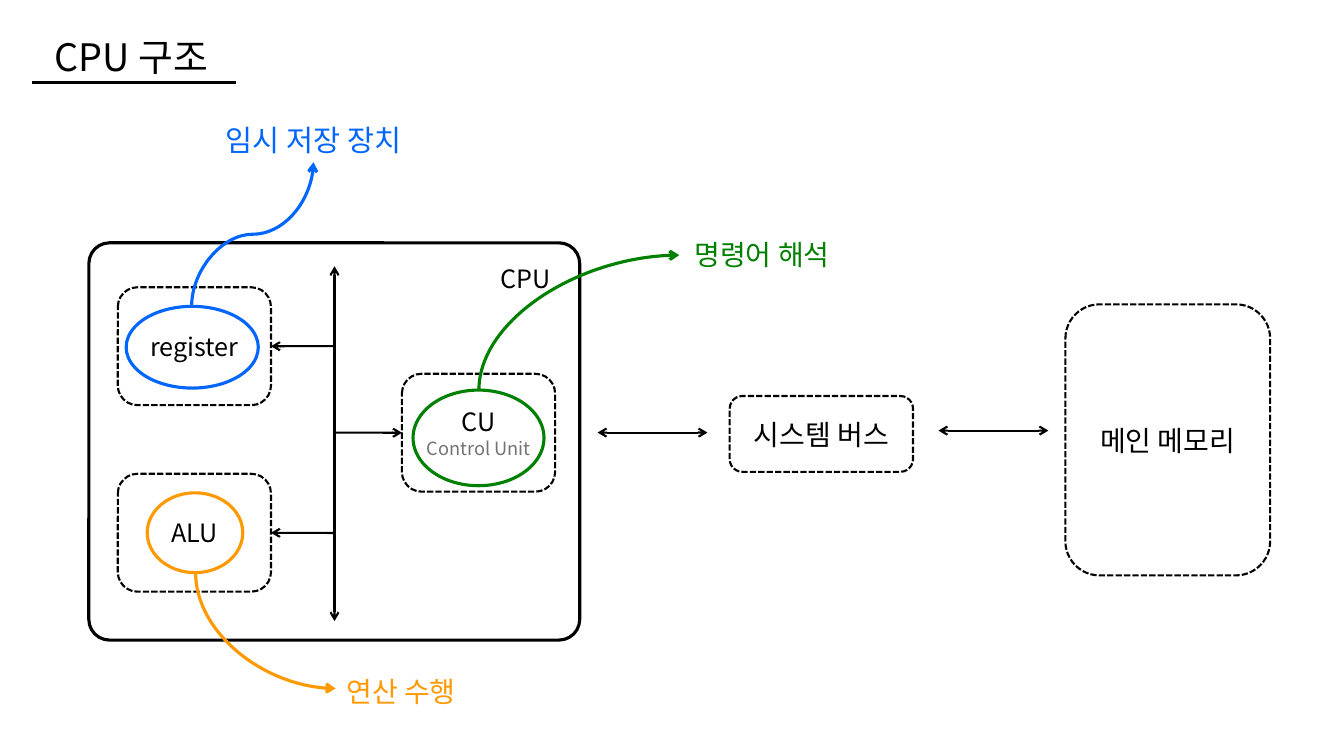
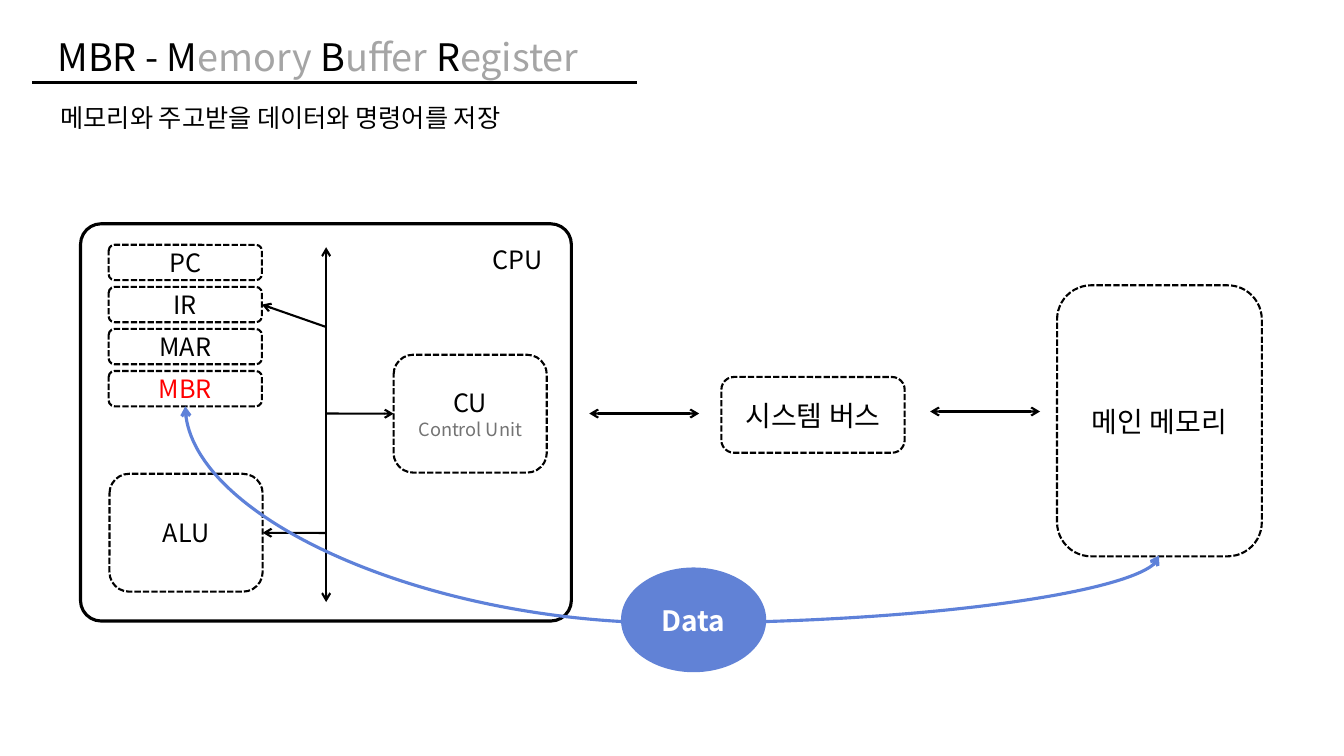
import dataclasses

import lxml.etree
import pptx
import pptx.dml.color
import pptx.enum.dml
import pptx.enum.shapes
import pptx.enum.text
import pptx.oxml.ns
import pptx.util

Cm = pptx.util.Cm
Pt = pptx.util.Pt
qn = pptx.oxml.ns.qn
SHAPE = pptx.enum.shapes.MSO_SHAPE
ALIGN = pptx.enum.text.PP_ALIGN
ANCHOR = pptx.enum.text.MSO_ANCHOR


@dataclasses.dataclass(frozen=True)
class Theme:
    font: str = "Noto Sans CJK KR"
    ink: str = "000000"
    muted: str = "A5A5A5"
    note: str = "737373"
    blue: str = "0066FF"
    orange: str = "FF9900"
    green: str = "008000"
    red: str = "FF0000"
    data_line: str = "5E81D9"
    data_fill: str = "6182D6"
    white: str = "FFFFFF"
    title_size: float = 27
    storage_size: float = 21
    large_size: float = 20
    text_size: float = 18
    note_size: float = 13
    thin: float = 1.5
    thick: float = 2.25


theme = Theme()


def write(frame, paragraphs, align=ALIGN.LEFT, anchor=ANCHOR.TOP):
    """Fill a text frame; each paragraph is a list of (text, size, colour) spans."""
    frame_format = {
        "word_wrap": True,
        "auto_size": pptx.enum.text.MSO_AUTO_SIZE.NONE,
        "vertical_anchor": anchor,
    }
    for name, value in frame_format.items():
        setattr(frame, name, value)
    for index, spans in enumerate(paragraphs):
        para = frame.add_paragraph() if index else frame.paragraphs[0]
        para.alignment = align
        para.space_before = Pt(0)
        for text, size, colour in spans:
            span = para.add_run()
            span.text = text
            span_format = {"name": theme.font, "size": Pt(size), "bold": colour == theme.white}
            for name, value in span_format.items():
                setattr(span.font, name, value)
            span.font.color.rgb = pptx.dml.color.RGBColor.from_string(colour)
            lxml.etree.SubElement(span.font._element, qn("a:ea"), typeface=theme.font)


def add_line(slide, start, end, colour, weight, tips=(), turn=0, preset="line", bend=None):
    """Draw a line between two points; turn is the quarter turn of a curve."""
    if turn:
        middle_x, middle_y = (start[0] + end[0]) / 2, (start[1] + end[1]) / 2
        start, end = [
            (middle_x + turn * (y - middle_y), middle_y - turn * (x - middle_x))
            for x, y in (start, end)
        ]
    kinds = pptx.enum.shapes.MSO_CONNECTOR
    connector = slide.shapes.add_connector(
        kinds.CURVE if turn else kinds.STRAIGHT, *map(Cm, (*start, *end))
    )
    connector.line.color.rgb = pptx.dml.color.RGBColor.from_string(colour)
    connector.line.width = Pt(weight)
    properties = connector.element.spPr
    if turn:
        properties.find(qn("a:xfrm")).set("rot", str(turn % 4 * 90 * 60000))
        geometry = properties.find(qn("a:prstGeom"))
        geometry.set("prst", preset)
        if bend:
            guides = geometry.find(qn("a:avLst"))
            lxml.etree.SubElement(guides, qn("a:gd"), name="adj1", fmla=f"val {bend}")
    for tip in tips:
        lxml.etree.SubElement(properties.find(qn("a:ln")), qn(f"a:{tip}"), type="arrow")
    lxml.etree.SubElement(properties, qn("a:effectLst"))
    return connector


ONE_WAY = ("tailEnd",)
BOTH_WAYS = ("headEnd", "tailEnd")
BLOCK = (3.86, 2.97)
REGISTER_SIZE = (3.86, 0.89)
TITLE_RULE_Y = 2.08
AXIS_X = 8.43

# style: shape, corner radius, line width, dashed
box_styles = {
    "frame": (SHAPE.ROUNDED_RECTANGLE, 0.052, theme.thick, False),
    "dashed": (SHAPE.ROUNDED_RECTANGLE, 0.167, theme.thin, True),
    "ring": (SHAPE.OVAL, None, theme.thick, False),
}

# name: style, position, size, line colour, paragraphs
shared_boxes = {
    "cpu": ("frame", (2.24, 6.12), (12.37, 10.01), theme.ink, []),
    "CU": ("dashed", (10.13, 9.42), BLOCK, theme.ink, [
        [("CU", theme.text_size, theme.ink)],
        [("Control Unit", theme.note_size, theme.note)],
    ]),
    "bus": ("dashed", (18.39, 9.98), (4.62, 1.91), theme.ink,
            [[("시스템 버스", theme.large_size, theme.ink)]]),
    "memory": ("dashed", (26.85, 7.67), (5.16, 6.83), theme.ink,
               [[("메인 메모리", theme.large_size, theme.ink)]]),
}
shared_arrows = [
    ((AXIS_X, 6.71), (AXIS_X, 15.65)),
    ((15.06, 10.9), (17.83, 10.9)),
    ((23.65, 10.85), (26.42, 10.85)),
]

structure_boxes = {
    "register": ("dashed", (2.97, 7.24), BLOCK, theme.ink,
                 [[("register", theme.text_size, theme.ink)]]),
    "ALU": ("dashed", (2.97, 11.94), BLOCK, theme.ink,
            [[("ALU", theme.text_size, theme.ink)]]),
    "register ring": ("ring", (3.18, 7.72), (3.33, 2.06), theme.blue, []),
    "ALU ring": ("ring", (3.71, 12.42), (2.41, 2.01), theme.orange, []),
    "CU ring": ("ring", (10.41, 9.83), (3.3, 2.41), theme.green, []),
}
buffer_boxes = {
    name: ("dashed", (2.74, 6.17 + 1.06 * row), REGISTER_SIZE, theme.ink,
           [[(name, theme.text_size, theme.red if name == "MBR" else theme.ink)]])
    for row, name in enumerate(["PC", "IR", "MAR", "MBR"])
}
buffer_boxes["ALU"] = ("dashed", (2.76, 11.94), BLOCK, theme.ink,
                       [[("ALU", theme.text_size, theme.ink)]])

pages = [
    {
        "layout": 5,
        "title": [("CPU 구조", theme.ink)],
        "title_x": 1.12,
        "title_width": 5.21,
        "rule_end": 5.94,
        "subtitle": None,
        "shift": (0, 0),
        "boxes": structure_boxes,
        "wired_register": "register",
        "curves": [
            ((4.83, 7.72), (7.9, 4.09), theme.blue, ONE_WAY, 1, "curvedConnector3", None),
            ((4.93, 14.43), (8.46, 17.35), theme.orange, ONE_WAY, -1, "curvedConnector2", None),
            ((12.07, 9.83), (17.12, 6.43), theme.green, ONE_WAY, 1, "curvedConnector2", None),
        ],
        "labels": [
            ("임시 저장 장치", (5.44, 2.95, 5.18, 1.14), theme.storage_size, theme.blue),
            ("연산 수행", (8.48, 16.87, 3.91, 1.09), theme.large_size, theme.orange),
            ("명령어 해석", (17.25, 5.87, 4.5, 1.09), theme.large_size, theme.green),
        ],
        "data": None,
    },
    {
        "layout": 1,
        "title": [
            ("MBR - M", theme.ink), ("emory", theme.muted),
            (" B", theme.ink), ("uffer", theme.muted),
            (" R", theme.ink), ("egister", theme.muted),
        ],
        "title_x": 1.19,
        "title_width": 16.31,
        "rule_end": 16.05,
        "subtitle": "메모리와 주고받을 데이터와 명령어를 저장",
        "shift": (-0.21, -0.48),
        "boxes": buffer_boxes,
        "wired_register": "IR",
        "curves": [
            ((4.67, 10.24), (29.21, 14), theme.data_line, BOTH_WAYS, 1,
             "curvedConnector3", 145200),
        ],
        "labels": [],
        "data": "Data",
    },
]

deck = pptx.Presentation()
deck.slide_width = Cm(33.87)
deck.slide_height = Cm(19.05)

for page in pages:
    slide = deck.slides.add_slide(deck.slide_layouts[page["layout"]])
    shift_x, shift_y = page["shift"]

    # Heading
    title = slide.shapes.title
    title_place = {"left": page["title_x"], "top": 0.71, "width": page["title_width"], "height": 1.4}
    for name, value in title_place.items():
        setattr(title, name, Cm(value))
    write(title.text_frame, [[(text, theme.title_size, colour) for text, colour in page["title"]]])
    add_line(slide, (0.81, TITLE_RULE_Y), (page["rule_end"], TITLE_RULE_Y), theme.ink, theme.thick)

    if page["subtitle"]:
        body = slide.placeholders[1]
        body_place = {"left": 1.27, "top": 2.44, "width": 12.47, "height": 1.02}
        for name, value in body_place.items():
            setattr(body, name, Cm(value))
        write(body.text_frame, [[(page["subtitle"], theme.text_size, theme.ink)]])
        bullet_format = body.text_frame.paragraphs[0]._p.get_or_add_pPr()
        for name in ("marL", "indent"):
            bullet_format.set(name, "0")
        lxml.etree.SubElement(bullet_format, qn("a:buNone"))

    # Boxes
    placed_boxes = {
        name: (style, (x + shift_x, y + shift_y), size, colour, paragraphs)
        for name, (style, (x, y), size, colour, paragraphs) in shared_boxes.items()
    }
    boxes = {}
    for name, (style, place, size, colour, paragraphs) in (placed_boxes | page["boxes"]).items():
        kind, radius, weight, dashed = box_styles[style]
        box = slide.shapes.add_shape(kind, *map(Cm, (*place, *size)))
        box.shadow.inherit = False
        box.fill.background()
        box.line.color.rgb = pptx.dml.color.RGBColor.from_string(colour)
        box.line.width = Pt(weight)
        if dashed:
            box.line.dash_style = pptx.enum.dml.MSO_LINE.SQUARE_DOT
        if radius:
            box.adjustments[0] = radius
        write(box.text_frame, paragraphs, ALIGN.CENTER, ANCHOR.MIDDLE)
        boxes[name] = box

    # Buses and the wires that leave the inner one
    for start, end in shared_arrows:
        start, end = [(x + shift_x, y + shift_y) for x, y in (start, end)]
        add_line(slide, start, end, theme.ink, theme.thin, BOTH_WAYS)
    wires = [
        (page["wired_register"], 8.72 + shift_y, 3),
        ("CU", 10.9 + shift_y, 1),
        ("ALU", 13.43, 3),
    ]
    for name, y, side in wires:
        start = (AXIS_X + shift_x, y)
        wire = add_line(slide, start, start, theme.ink, theme.thin, ONE_WAY)
        wire.end_connect(boxes[name], side)

    # Callouts
    for start, end, colour, tips, turn, preset, bend in page["curves"]:
        add_line(slide, start, end, colour, theme.thick, tips, turn, preset, bend)
    cpu_label = ("CPU", (12.37 + shift_x, 6.5 + shift_y, 2.01, 1.02), theme.text_size, theme.ink)
    for text, place, size, colour in [cpu_label, *page["labels"]]:
        label = slide.shapes.add_textbox(*map(Cm, place))
        write(label.text_frame, [[(text, size, colour)]])

    if page["data"]:
        data = slide.shapes.add_shape(SHAPE.OVAL, Cm(15.65), Cm(14.3), Cm(3.66), Cm(2.64))
        data.shadow.inherit = False
        data.fill.solid()
        data.fill.fore_color.rgb = pptx.dml.color.RGBColor.from_string(theme.data_fill)
        data.line.fill.background()
        write(data.text_frame, [[(page["data"], theme.large_size, theme.white)]],
              ALIGN.CENTER, ANCHOR.MIDDLE)

deck.save("out.pptx")
